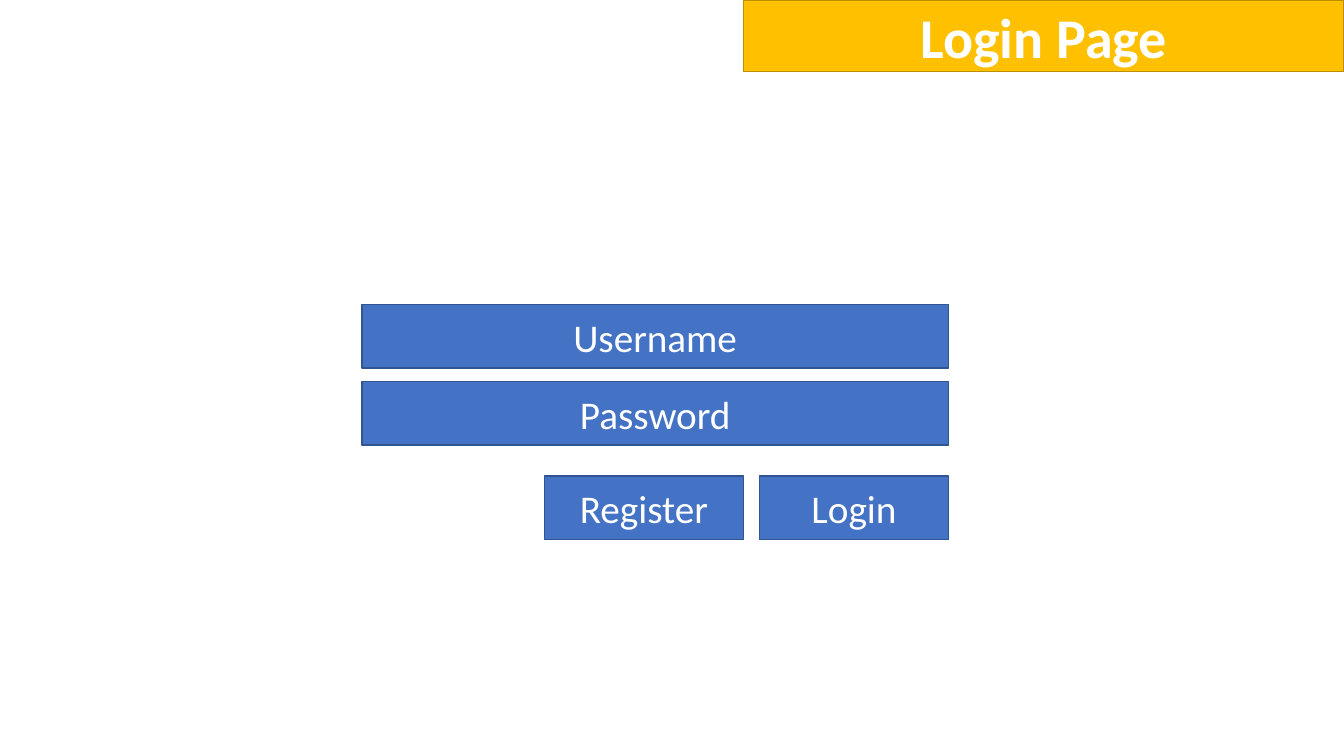
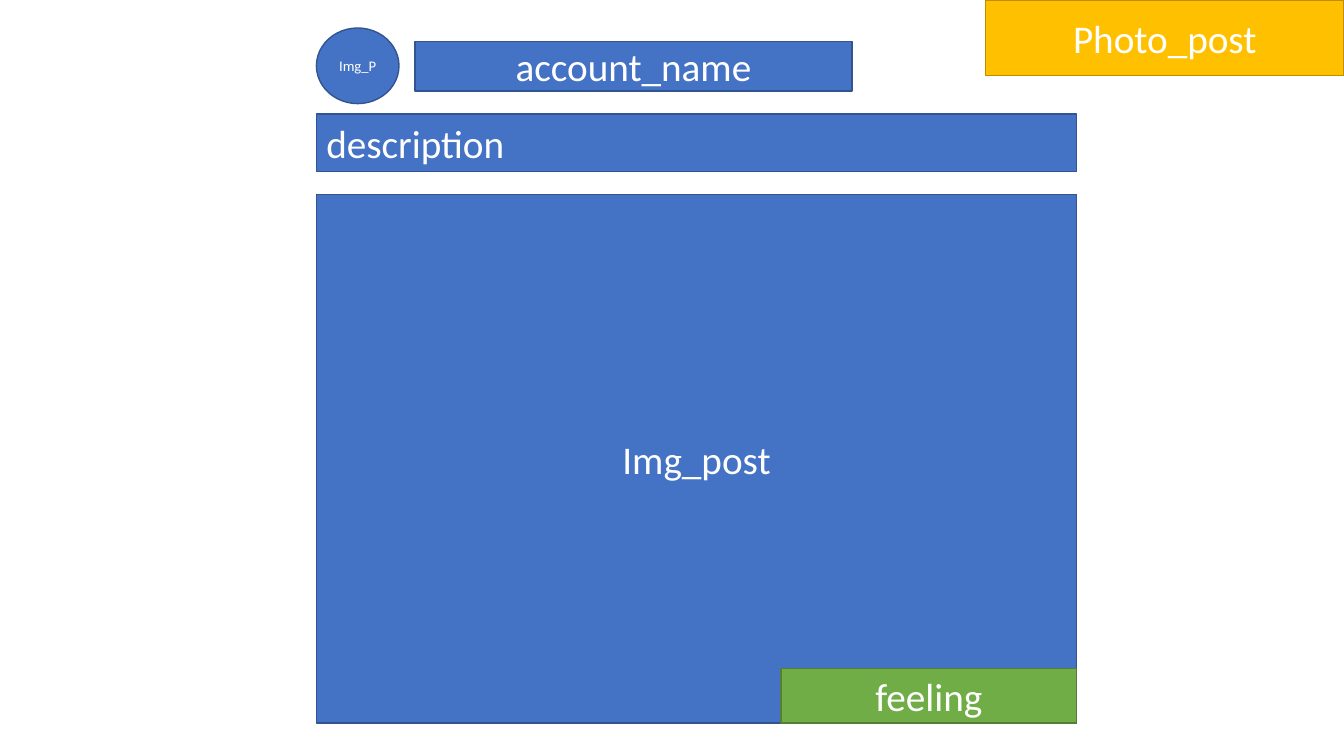
import pptx
import pptx.util
import pptx.dml.color
import pptx.enum.shapes
import pptx.enum.text

Pt = pptx.util.Pt
RGBColor = pptx.dml.color.RGBColor
SHAPE = pptx.enum.shapes.MSO_SHAPE
ALIGN = pptx.enum.text.PP_ALIGN
ANCHOR = pptx.enum.text.MSO_ANCHOR

WHITE = RGBColor(0xFF, 0xFF, 0xFF)
BLUE = (RGBColor(0x44, 0x72, 0xC4), RGBColor(0x32, 0x54, 0x91))
GOLD = (RGBColor(0xFF, 0xC0, 0x00), RGBColor(0xBD, 0x8E, 0x00))
GREEN = (RGBColor(0x70, 0xAD, 0x47), RGBColor(0x53, 0x80, 0x35))

FONT = "Calibri"
SLIDE_W, SLIDE_H = 960, 540

FIELDS = ["Username", "Password"]
BUTTONS = [("Login", 135), ("Register", 142)]
FORM_X, FORM_Y, FORM_W = 258.5, 217.5, 419
FIELD_H, FIELD_STEP = 45.5, 55
BUTTON_Y, BUTTON_GAP = 340, 11.5

POST_X, POST_Y, POST_W, POST_H = 226, 139, 543, 377.5
FEELING_W, FEELING_H = 211, 39


def style(sp, text, colors, size=28, bold=False, align=ALIGN.CENTER, anchor=ANCHOR.MIDDLE):
    fill, line = colors
    sp.fill.solid()
    sp.fill.fore_color.rgb = fill
    sp.line.color.rgb = line
    sp.line.width = Pt(1)
    tf = sp.text_frame
    tf.text = text
    tf.word_wrap = True
    tf.auto_size = pptx.enum.text.MSO_AUTO_SIZE.NONE
    tf.vertical_anchor = anchor
    p = tf.paragraphs[0]
    p.alignment = align
    font = p.runs[0].font
    font.name, font.size, font.bold = FONT, Pt(size), bold
    font.color.rgb = WHITE


def add_box(slide, text, x, y, w, h, colors=BLUE, shape=SHAPE.RECTANGLE, **text_style):
    sp = slide.shapes.add_shape(shape, Pt(x), Pt(y), Pt(w), Pt(h))
    sp.shadow.inherit = False
    style(sp, text, colors, **text_style)


def add_page(prs, title, w, h, **text_style):
    slide = prs.slides.add_slide(prs.slide_layouts[5])
    sp = slide.shapes.title
    sp.left, sp.top, sp.width, sp.height = Pt(SLIDE_W - w), Pt(0), Pt(w), Pt(h)
    style(sp, title, GOLD, **text_style)
    return slide


def build_login(prs):
    slide = add_page(prs, "Login Page", 429, 51, size=40, bold=True)
    for i, name in enumerate(FIELDS):
        add_box(slide, name, FORM_X, FORM_Y + i * FIELD_STEP, FORM_W, FIELD_H)
    right = FORM_X + FORM_W
    for name, w in BUTTONS:
        add_box(slide, name, right - w, BUTTON_Y, w, FIELD_H)
        right -= w + BUTTON_GAP


def build_post(prs):
    slide = add_page(prs, "Photo_post", 256, 54)
    add_box(slide, "Img_post", POST_X, POST_Y, POST_W, POST_H)
    add_box(slide, "Img_P", POST_X, 20, 59, 54, shape=SHAPE.OVAL, size=10.5)
    add_box(slide, "account_name", 296.5, 29.5, 312, 35.5)
    add_box(slide, "description", POST_X, 81.5, POST_W, 41,
            align=ALIGN.LEFT, anchor=ANCHOR.TOP)
    add_box(slide, "feeling", POST_X + POST_W - FEELING_W, POST_Y + POST_H - FEELING_H,
            FEELING_W, FEELING_H, colors=GREEN)


def main():
    prs = pptx.Presentation()
    prs.slide_width, prs.slide_height = Pt(SLIDE_W), Pt(SLIDE_H)
    build_login(prs)
    build_post(prs)
    prs.save("out.pptx")


if __name__ == "__main__":
    main()
